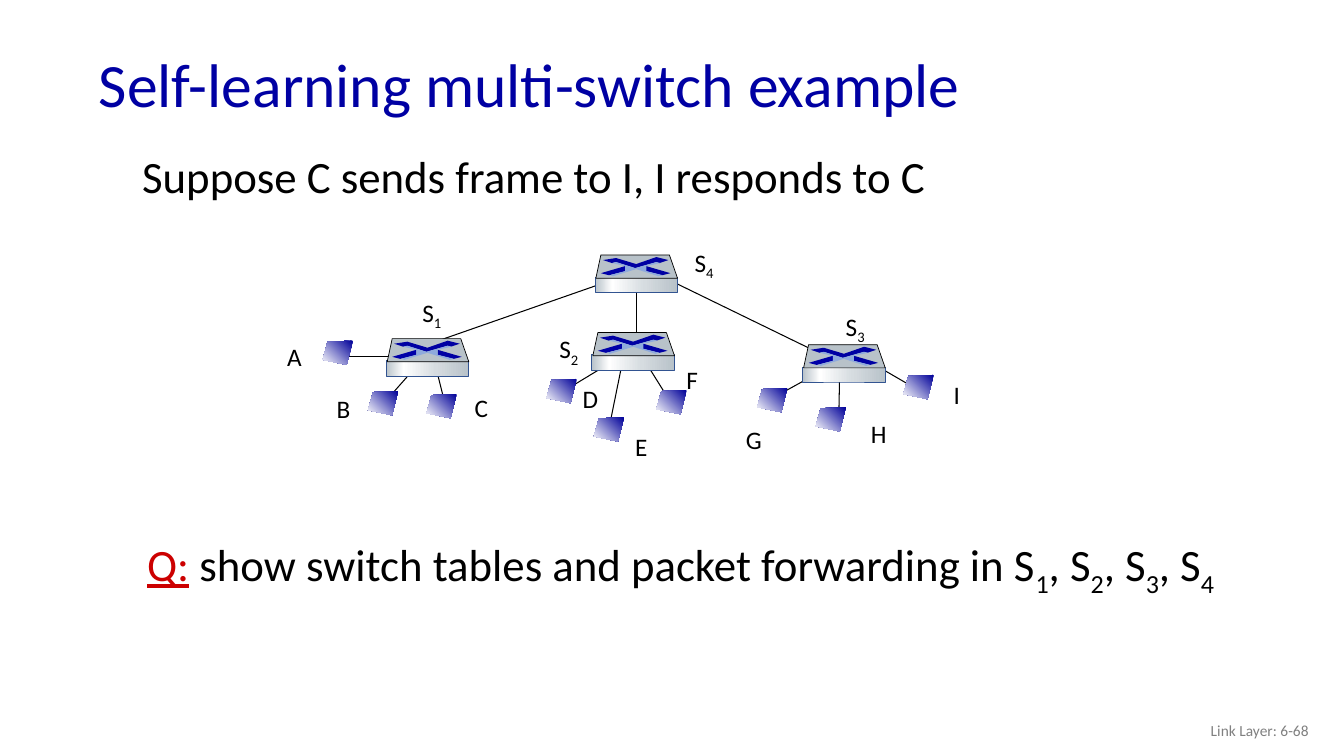
from lxml.etree import SubElement as Sub
from pptx import Presentation
from pptx.dml.color import RGBColor
from pptx.enum.shapes import MSO_CONNECTOR as LINK, MSO_SHAPE as FORM
from pptx.enum.text import MSO_ANCHOR as ANCHOR, MSO_AUTO_SIZE as AUTO, PP_ALIGN as ALIGN
from pptx.oxml.ns import qn
from pptx.util import Inches, Pt

U = Inches(0.01)  # all places are counted on a grid of 0.01 inch
BLUE, BLACK, RED, STEEL = "0000A3", "000000", "CC0000", "B8C2C9"


def write(box, text, size=18, color=BLACK, lead="", align=ALIGN.LEFT,
          anchor=ANCHOR.TOP, wrap=True, spacing=1.0):
    """Fill a box with text; "_" lowers the next character, lead is red and underlined."""
    frame = box.text_frame
    frame.word_wrap, frame.auto_size = wrap, AUTO.NONE
    frame.vertical_anchor = anchor
    para = frame.paragraphs[0]
    para.alignment, para.line_spacing, para.space_before = align, spacing, Pt(0)
    first, *rest = text.split("_")
    parts = [(lead, False), (first, False)]
    for part in rest:
        parts += [(part[0], True), (part[1:], False)]
    for part, low in parts:
        if not part:
            continue
        run = para.add_run()
        run.text = part
        run.font.name, run.font.size = "Calibri", Pt(size)
        run.font.color.rgb = RGBColor.from_string(RED if part == lead else color)
        if part == lead:
            run.font.underline = True
        if low:
            run._r.get_or_add_rPr().set("baseline", "-25000")
    return para


def paint(shape, *stops, angle=0, line=None):
    """Fill with one hex color, or with a gradient of (percent, hex) stops."""
    shape.shadow.inherit = False
    if len(stops) == 1:
        shape.fill.solid()
        shape.fill.fore_color.rgb = RGBColor.from_string(stops[0])
    else:
        shape.fill.gradient()
        shape.fill.gradient_angle = angle
        ramp = shape._element.spPr.find(qn("a:gradFill")).find(qn("a:gsLst"))
        ramp.clear()
        for place, color in stops:
            stop = Sub(ramp, qn("a:gs"), pos=str(place * 1000))
            Sub(stop, qn("a:srgbClr"), val=color)
    if line:
        shape.line.color.rgb = RGBColor.from_string(line)
        shape.line.width = Pt(0.5)
    else:
        shape.line.fill.background()


deck = Presentation()
deck.slide_width, deck.slide_height = 1333 * U, 750 * U
slide = deck.slides.add_slide(deck.slide_layouts[1])
shapes = slide.shapes

# Title and lead sentence
title, body = slide.placeholders
title.left, title.top, title.width, title.height = 88 * U, 38 * U, 1150 * U, 98 * U
write(title, "Self-learning multi-switch example", size=44, color=BLUE,
      anchor=ANCHOR.MIDDLE, spacing=0.9)
body.left, body.top, body.width, body.height = 116 * U, 149 * U, 956 * U, 88 * U
para = write(body, "Suppose C sends frame to I, I responds to C", size=32, spacing=0.9)
props = para._p.get_or_add_pPr()
props.set("marL", str(39 * U))
props.set("indent", str(-24 * U))
Sub(props, qn("a:buNone"))

# Links, the last one from S4 down to S2
links = [
    (404, 354, 344, 354), (416, 360, 386, 394), (432, 363, 440, 395),
    (607, 359, 569, 382), (617, 361, 604, 425), (637, 354, 662, 394),
    (824, 363, 777, 389), (833, 360, 832, 411), (873, 365, 904, 383),
    (598, 281, 432, 339), (812, 350, 658, 275), (631, 290, 631, 343),
]
for ends in links:
    link = shapes.add_connector(LINK.STRAIGHT, *(n * U for n in ends))
    link.line.color.rgb = RGBColor.from_string(BLACK)
    link.line.width = Pt(0.75)
    Sub(link._element.spPr, qn("a:effectLst"))

# Hosts A to I
hosts = [(320, 338), (365, 388), (423, 391), (542, 376), (589, 414),
         (651, 387), (751, 385), (809, 404), (896, 372)]
for x, y in hosts:
    pen = shapes.build_freeform(30, 0, scale=U)
    pen.add_line_segments([(5, 1), (0, 19), (24, 24)])
    paint(pen.convert_to_shape(x * U, y * U), (0, "000099"), (100, "FFFFFF"), angle=225)

# Switches S1 to S4: a metal body with a lid and crossed arrows
lid = [(0, 23), (5, 0), (73, 0), (81, 23)]
upper = [(60, 2), (72, 5), (63, 8), (60, 7), (39, 13),
         (20, 7), (16, 8), (7, 5), (20, 3), (40, 9)]
right = [(50, 11), (74, 18), (66, 20), (50, 16)]
left = [(29, 11), (29, 16), (13, 20), (5, 18)]
cross = [(16, 8), (20, 7), (39, 13), (60, 7), (64, 8), (50, 11), (50, 16),
         (66, 20), (62, 21), (40, 14), (17, 21), (14, 20), (29, 16), (29, 11)]
parts = [(lid, STEEL, BLACK), (upper, BLUE, None), (right, BLUE, None),
         (left, "0000A8", None), (cross, "8FAADC", None)]
for x, y in [(384, 336), (588, 330), (797, 342), (591, 253)]:
    case = shapes.add_shape(FORM.RECTANGLE, (x - 1) * U, (y + 22) * U, 82 * U, 15 * U)
    paint(case, (0, STEEL), (21, "FFFFFF"), (60, "D6DCE0"), (100, STEEL), line="325491")
    for points, color, edge in parts:
        pen = shapes.build_freeform(*points[0], scale=U)
        pen.add_line_segments(points[1:])
        paint(pen.convert_to_shape(x * U, y * U), color, line=edge)
link.begin_connect(case, 2)

# Names of hosts and switches
names = [
    ("A", 275, 334, 35), ("B", 324, 385, 34), ("C", 461, 384, 34),
    ("D", 568, 375, 36), ("E", 620, 423, 32), ("F", 671, 357, 32),
    ("G", 730, 416, 36), ("H", 854, 410, 36), ("I", 936, 371, 27),
    ("S_1", 409, 290, 40), ("S_2", 545, 326, 40),
    ("S_3", 829, 304, 40), ("S_4", 679, 240, 40),
]
for name, x, y, wide in names:
    write(shapes.add_textbox(x * U, y * U, wide * U, 40 * U), name, wrap=False)

# Question and footer
task = shapes.add_textbox(136 * U, 531 * U, 1198 * U, 202 * U)
write(task, " show switch tables and packet forwarding in S_1, S_2, S_3, S_4",
      size=32, lead="Q:", spacing=0.85)
foot = shapes.add_textbox(1008 * U, 705 * U, 300 * U, 40 * U)
write(foot, "Link Layer: 6-68", size=11, color="808080", align=ALIGN.RIGHT,
      anchor=ANCHOR.MIDDLE)

deck.save("out.pptx")
